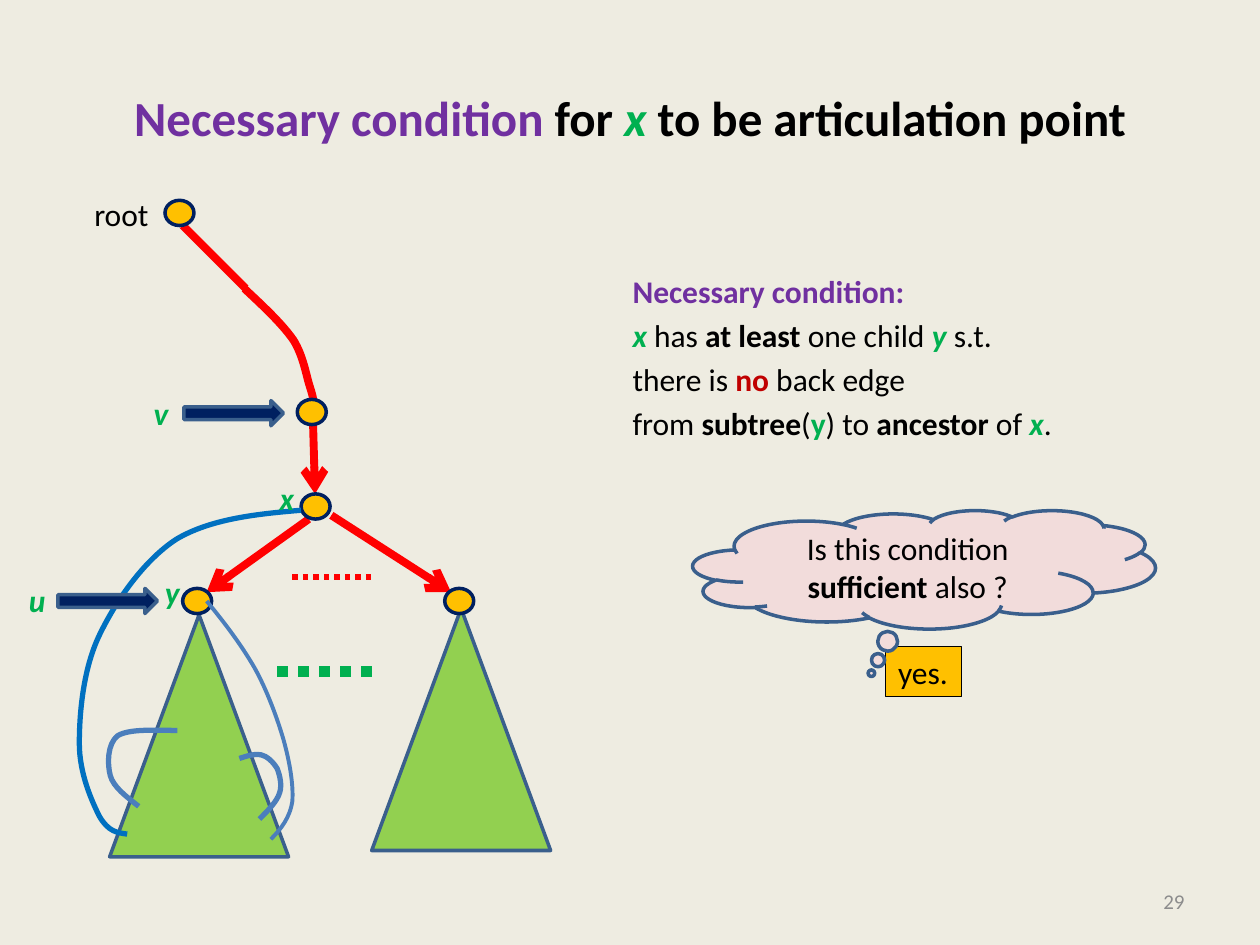
from typing import NamedTuple

from lxml import etree
from pptx import Presentation
from pptx.dml.color import RGBColor
from pptx.enum.dml import MSO_LINE
from pptx.enum.shapes import MSO_CONNECTOR, MSO_SHAPE
from pptx.enum.text import MSO_ANCHOR, MSO_AUTO_SIZE, PP_ALIGN
from pptx.oxml.ns import qn
from pptx.util import Pt

PX = 9144  # 100 px to the inch
OVAL, TRI, ARROW = MSO_SHAPE.OVAL, MSO_SHAPE.ISOSCELES_TRIANGLE, MSO_SHAPE.RIGHT_ARROW
RECT, CLOUD = MSO_SHAPE.RECTANGLE, MSO_SHAPE.CLOUD_CALLOUT
STRAIGHT, DOTS = MSO_CONNECTOR.STRAIGHT, MSO_LINE.ROUND_DOT
CENTER, RIGHT = PP_ALIGN.CENTER, PP_ALIGN.RIGHT
TOP, MIDDLE = MSO_ANCHOR.TOP, MSO_ANCHOR.MIDDLE
FIT = MSO_AUTO_SIZE.SHAPE_TO_FIT_TEXT

BLACK = RGBColor(0x00, 0x00, 0x00)
PURPLE = RGBColor(0x70, 0x30, 0xA0)
GREEN = RGBColor(0x00, 0xB0, 0x50)
LIME = RGBColor(0x92, 0xD0, 0x50)
RED = RGBColor(0xFF, 0x00, 0x00)
DARK_RED = RGBColor(0xC0, 0x00, 0x00)
GOLD = RGBColor(0xFF, 0xC0, 0x00)
NAVY = RGBColor(0x00, 0x20, 0x60)
STEEL = RGBColor(0x3A, 0x5F, 0x8C)
BLUE = RGBColor(0x4B, 0x7E, 0xBC)
SKY = RGBColor(0x00, 0x70, 0xC0)
PINK = RGBColor(0xF2, 0xDC, 0xDB)
GRAY = RGBColor(0x8C, 0x8C, 0x8C)
CREAM = RGBColor(0xEE, 0xEC, 0xE1)


class Run(NamedTuple):
    text: str
    color: RGBColor = BLACK
    bold: bool = False
    italic: bool = False


class Edge(NamedTuple):
    start: tuple[int, int]
    end: tuple[int, int]
    color: RGBColor = RED
    width: float = 4.5
    head: bool = False
    dots: bool = False


class Curve(NamedTuple):
    points: list[tuple[int, int]]  # start, then three points per Bézier piece
    color: RGBColor = BLUE
    width: float = 3
    turn: float = 0


def name(text: str) -> Run:
    return Run(text, GREEN, True, True)


def bold(text: str, color: RGBColor = BLACK) -> Run:
    return Run(text, color, True)


def write(para, text: str, *, size=18, color=BLACK, bold=False, italic=False) -> None:
    run = para.add_run()
    run.text = text
    font = run.font
    font.name, font.size, font.bold, font.italic = "Calibri", Pt(size), bold, italic
    font.color.rgb = color


def fill_para(para, runs: list[Run], size: int = 18) -> None:
    for run in runs:
        write(para, run.text, size=size, color=run.color, bold=run.bold, italic=run.italic)


def place(shape, x: int, y: int, w: int, h: int) -> None:
    shape.left, shape.top, shape.width, shape.height = x * PX, y * PX, w * PX, h * PX


def add_shape(kind, x: int, y: int, w: int, h: int, fill: RGBColor,
              line: RGBColor = STEEL, width: float = 2):
    shape = shapes.add_shape(kind, x * PX, y * PX, w * PX, h * PX)
    shape.shadow.inherit = False
    shape.fill.solid()
    shape.fill.fore_color.rgb = fill
    shape.line.color.rgb = line
    shape.line.width = Pt(width)
    return shape


def add_label(run: Run, x: int, y: int, w: int) -> None:
    frame = shapes.add_textbox(x * PX, y * PX, w * PX, 40 * PX).text_frame
    frame.word_wrap, frame.auto_size = False, FIT
    fill_para(frame.paragraphs[0], [run])


def add_edge(edge: Edge) -> None:
    ends = [n * PX for n in edge.start + edge.end]
    link = shapes.add_connector(STRAIGHT, *ends)
    link.line.color.rgb = edge.color
    link.line.width = Pt(edge.width)
    if edge.dots:
        link.line.dash_style = DOTS
    if edge.head:
        etree.SubElement(link.line._get_or_add_ln(), qn("a:tailEnd"), type="arrow")
    etree.SubElement(link._element.spPr, qn("a:effectLst"))


def add_curve(curve: Curve) -> None:
    first, *rest = curve.points
    pen = shapes.build_freeform(*first, scale=PX)
    pen.add_line_segments(rest, close=False)
    shape = pen.convert_to_shape()
    shape.shadow.inherit = False
    shape.fill.background()
    shape.line.color.rgb = curve.color
    shape.line.width = Pt(curve.width)
    shape.rotation = curve.turn
    # Join every three segments into one Bézier piece
    parts = list(shape._element.iter(qn("a:lnTo")))
    for bend, *others in zip(parts[::3], parts[1::3], parts[2::3]):
        bend.tag = qn("a:cubicBezTo")
        for part in others:
            bend.append(part[0])
            part.getparent().remove(part)


deck = Presentation()
deck.slide_width, deck.slide_height = 1000 * PX, 750 * PX
slide = deck.slides.add_slide(deck.slide_layouts[1])
shapes = slide.shapes
slide.background.fill.solid()
slide.background.fill.fore_color.rgb = CREAM

# Title
place(shapes.title, 50, 30, 900, 125)
fill_para(shapes.title.text_frame.paragraphs[0], [
    bold("Necessary condition ", PURPLE), bold("for "), name("x "),
    bold("to be articulation point")], size=28)

# Condition text
body = slide.placeholders[1]
place(body, 492, 211, 483, 459)
LINES = [
    [bold("Necessary condition:", PURPLE)],
    [name("x "), Run("has "), bold("at least "), Run("one child "), name("y "), Run("s.t.")],
    [Run("there is "), bold("no", DARK_RED), Run(" back edge")],
    [Run("from "), bold("subtree"), Run("("), bold("y", GREEN), Run(") to "),
     bold("ancestor"), Run(" of "), name("x"), Run(".")],
]
for i, runs in enumerate(LINES):
    para = body.text_frame.add_paragraph() if i else body.text_frame.paragraphs[0]
    props = para._p.get_or_add_pPr()
    props.set("marL", "0")
    props.set("indent", "0")
    etree.SubElement(props, qn("a:buNone"))
    para.space_before = Pt(3.6 if i else 0)
    fill_para(para, runs)

# Subtrees
for x, y in [(87, 488), (295, 483)]:
    add_shape(TRI, x, y, 142, 192, LIME)

# Tree edges and dotted gaps
EDGES = [
    Edge((145, 179), (195, 229)),
    Edge((248, 320), (250, 392), head=True),
    Edge((245, 412), (164, 470), head=True),
    Edge((263, 409), (358, 470), head=True),
    Edge((232, 458), (295, 458), width=3, dots=True),
    Edge((220, 533), (301, 533), GREEN, 6, dots=True),
]
for edge in EDGES:
    add_edge(edge)
add_curve(Curve([(194, 229), (209, 243), (224, 257), (233, 270), (241, 283), (243, 298),
                 (246, 307), (249, 316), (249, 320), (250, 324)], RED, 4.5))

# Nodes: root, v, x, y and its sibling
for x, y in [(131, 159), (236, 317), (239, 392), (145, 467), (353, 467)]:
    add_shape(OVAL, x, y, 23, 20, GOLD, NAVY)

# Back edges
CURVES = [
    Curve([(112, 640), (102, 633), (91, 626), (88, 617), (85, 608), (84, 592), (92, 585),
           (101, 579), (120, 579), (139, 578)], turn=3.5),
    Curve([(206, 650), (213, 643), (220, 636), (222, 629), (224, 623), (222, 615), (220, 610),
           (217, 605), (212, 600), (207, 599), (202, 598), (196, 600), (190, 602)]),
    Curve([(215, 666), (223, 658), (230, 649), (232, 636), (233, 623), (230, 605), (225, 587),
           (220, 570), (212, 548), (202, 530), (191, 511), (178, 494), (164, 477)], width=2.25),
    Curve([(101, 662), (93, 661), (86, 660), (79, 648), (73, 636), (63, 614), (63, 590),
           (63, 566), (66, 531), (79, 504), (92, 477), (114, 445), (140, 428),
           (167, 412), (203, 408), (239, 405)], SKY),
]
for curve in CURVES:
    add_curve(curve)

# Pointers and node names
for x, y in [(46, 467), (146, 318)]:
    add_shape(ARROW, x, y, 79, 20, NAVY)
add_label(Run("root"), 65, 150, 64)
for text, x, y in [("v", 112, 308), ("x", 212, 375), ("y", 121, 450), ("u", 13, 456)]:
    add_label(name(text), x, y, 32)

# Answer and question
answer = add_shape(RECT, 703, 513, 60, 40, GOLD, BLACK, 0.75).text_frame
answer.word_wrap, answer.auto_size, answer.vertical_anchor = False, FIT, TOP
answer.paragraphs[0].alignment = PP_ALIGN.LEFT
fill_para(answer.paragraphs[0], [Run("yes.")])

cloud = add_shape(CLOUD, 550, 405, 367, 94, PINK)
cloud.adjustments[0], cloud.adjustments[1] = -0.114, 0.876
cloud.text_frame.vertical_anchor = MIDDLE
ask = cloud.text_frame.paragraphs[0]
ask.alignment = CENTER
fill_para(ask, [Run("Is this condition "), bold("sufficient "), Run("also ?")])

# Slide number
page = shapes.add_textbox(717 * PX, 695 * PX, 233 * PX, 40 * PX).text_frame
page.word_wrap, page.vertical_anchor = True, MIDDLE
page.paragraphs[0].alignment = RIGHT
write(page.paragraphs[0], "29", size=12, color=GRAY)

deck.save("out.pptx")
